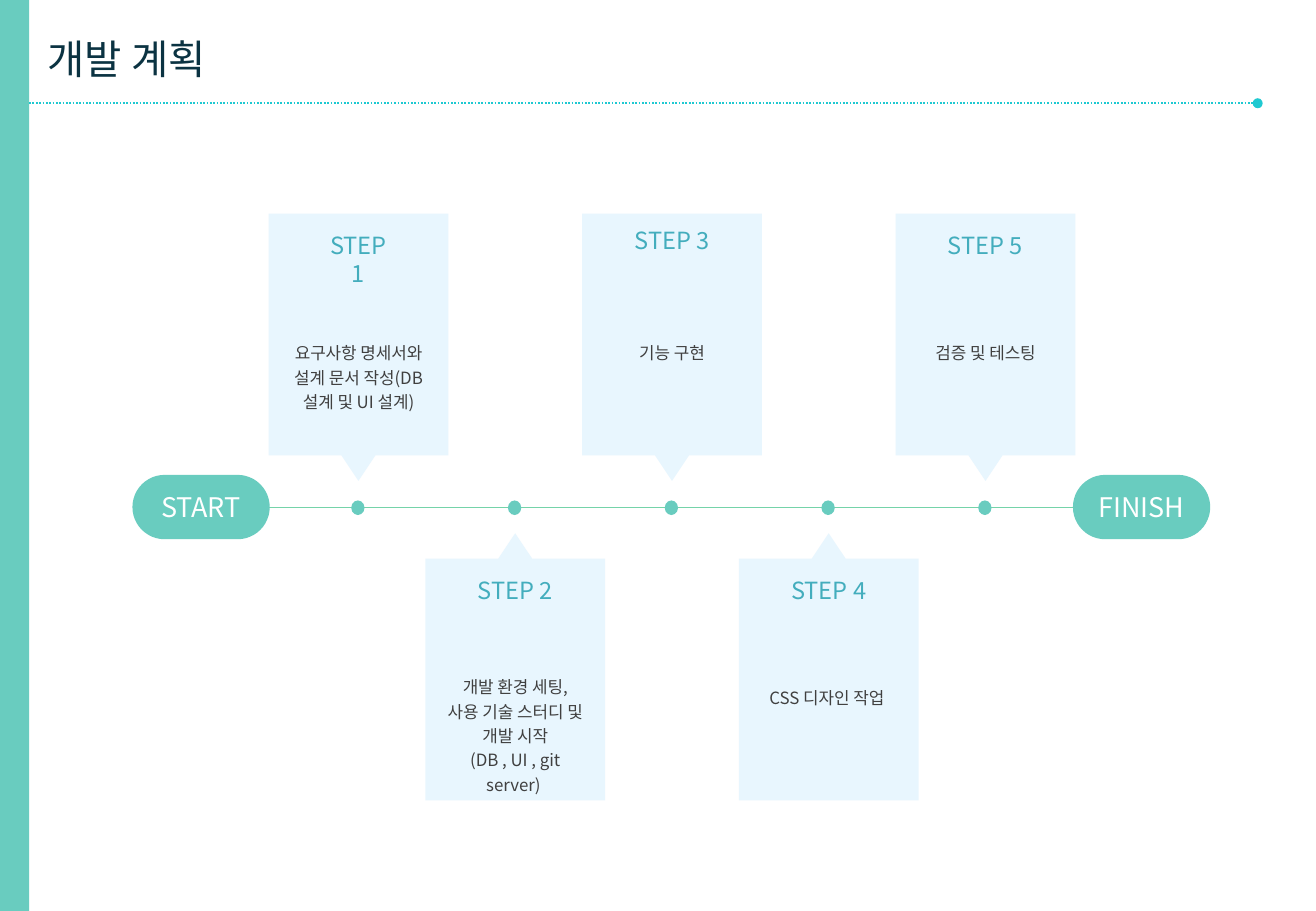
from dataclasses import dataclass

from lxml.etree import SubElement
from pptx import Presentation
from pptx.dml.color import RGBColor
from pptx.enum.dml import MSO_LINE
from pptx.enum.shapes import MSO_CONNECTOR, MSO_SHAPE
from pptx.enum.text import MSO_ANCHOR, PP_ALIGN
from pptx.oxml.ns import qn
from pptx.shapes.autoshape import Shape
from pptx.shapes.connector import Connector
from pptx.slide import Slide
from pptx.text.text import TextFrame
from pptx.util import Inches, Pt

FONT = "Noto Sans CJK KR"
MINT = RGBColor(0x69, 0xCC, 0xBF)
CYAN = RGBColor(0x1F, 0xC9, 0xD1)
GREEN = RGBColor(0x75, 0xD3, 0xA9)
PALE = RGBColor(0xE8, 0xF6, 0xFE)
TEAL = RGBColor(0x43, 0xAD, 0xBD)
NAVY = RGBColor(0x0B, 0x33, 0x42)
GRAY = RGBColor(0x40, 0x40, 0x40)
WHITE = RGBColor(0xFF, 0xFF, 0xFF)

AXIS_Y = 4.18
FIRST_X = 2.95
PITCH = 1.29
CARD_W = 1.48
CARD_H = 1.99
UPPER_TOP = 1.76
LOWER_TOP = 4.6
POINTER_H = 0.21
POINTER_HALF = 0.14
BODY_W = 1.12


@dataclass
class Step:
    title: str
    body: str
    title_y: float
    body_y: float
    body_h: float
    title_w: float = 0.65
    above: bool = True


@dataclass
class Pill:
    text: str
    x: float


STEPS = [
    Step("STEP 1", "요구사항 명세서와 설계 문서 작성(DB 설계 및 UI 설계)", 1.9, 2.79, 0.81, title_w=0.6),
    Step("STEP 2", "개발 환경 세팅, 사용 기술 스터디 및 개발 시작\v(DB , UI , git server) ",
         4.74, 5.54, 1.01, above=False),
    Step("STEP 3", "기능 구현", 1.86, 2.79, 0.2),
    Step("STEP 4", "CSS 디자인 작업 ", 4.74, 5.63, 0.2, above=False),
    Step("STEP 5", "검증 및 테스팅", 1.9, 2.79, 0.2),
]
PILLS = [Pill("START", 1.09), Pill("FINISH", 8.83)]


def paint(s: Shape, color: RGBColor) -> None:
    s.shadow.inherit = False
    s.fill.solid()
    s.fill.fore_color.rgb = color
    s.line.fill.background()


def write(tf: TextFrame, text: str, size: float, color: RGBColor,
          align: PP_ALIGN = PP_ALIGN.CENTER, spacing: float = 1.0) -> None:
    tf.text = text
    p = tf.paragraphs[0]
    p.alignment = align
    p.line_spacing = spacing
    for r in p.runs:
        r.font.size = Pt(size)
        r.font.name = FONT
        r.font.color.rgb = color
        SubElement(r.font._element, qn("a:ea")).set("typeface", FONT)


def add_block(slide: Slide, kind: MSO_SHAPE, x: float, y: float,
              w: float, h: float) -> Shape:
    s = slide.shapes.add_shape(kind, Inches(x), Inches(y), Inches(w), Inches(h))
    paint(s, MINT)
    return s


def add_line(slide: Slide, x1: float, x2: float, y: float,
             color: RGBColor, width: float) -> Connector:
    s = slide.shapes.add_connector(
        MSO_CONNECTOR.STRAIGHT, Inches(x1), Inches(y), Inches(x2), Inches(y))
    s.line.color.rgb = color
    s.line.width = Pt(width)
    SubElement(s._element.spPr, qn("a:effectLst"))
    return s


def add_label(slide: Slide, text: str, center: float, y: float, w: float,
              h: float, size: float, color: RGBColor, spacing: float = 1.0) -> None:
    s = slide.shapes.add_textbox(Inches(center - w / 2), Inches(y), Inches(w), Inches(h))
    tf = s.text_frame
    tf.margin_left = tf.margin_right = tf.margin_top = tf.margin_bottom = 0
    tf.word_wrap = True
    write(tf, text, size, color, spacing=spacing)


def add_card(slide: Slide, center: float, above: bool) -> None:
    top = UPPER_TOP if above else LOWER_TOP
    near, far = (top + CARD_H, top) if above else (top, top + CARD_H)
    tip = near + POINTER_H if above else near - POINTER_H
    left, right = center - CARD_W / 2, center + CARD_W / 2
    outline = [(left, far), (left, near), (center - POINTER_HALF, near),
               (center, tip), (center + POINTER_HALF, near), (right, near)]
    builder = slide.shapes.build_freeform(Inches(right), Inches(far))
    builder.add_line_segments([(Inches(x), Inches(y)) for x, y in outline], close=True)
    paint(builder.convert_to_shape(), PALE)


def add_step(slide: Slide, step: Step, center: float) -> None:
    add_card(slide, center, step.above)
    add_block(slide, MSO_SHAPE.OVAL, center - 0.06, AXIS_Y - 0.06, 0.11, 0.12)
    add_label(slide, step.title, center, step.title_y, step.title_w, 0.24, 14, TEAL)
    add_label(slide, step.body, center, step.body_y, BODY_W, step.body_h, 10, GRAY, 1.2)


def add_pill(slide: Slide, pill: Pill) -> None:
    s = add_block(slide, MSO_SHAPE.ROUNDED_RECTANGLE, pill.x, AXIS_Y - 0.27, 1.13, 0.53)
    s.adjustments[0] = 0.5
    s.text_frame.vertical_anchor = MSO_ANCHOR.MIDDLE
    write(s.text_frame, pill.text, 16, WHITE)


def add_title(slide: Slide, text: str) -> None:
    s = slide.shapes.title
    s.left, s.top, s.width, s.height = Inches(0.29), Inches(0.23), Inches(1.66), Inches(0.5)
    s.text_frame.word_wrap = False
    s.text_frame.vertical_anchor = MSO_ANCHOR.MIDDLE
    write(s.text_frame, text, 24, NAVY, PP_ALIGN.LEFT)


def main() -> None:
    prs = Presentation()
    prs.slide_width, prs.slide_height = Inches(10.83), Inches(7.5)
    slide = prs.slides.add_slide(prs.slide_layouts[5])
    add_title(slide, "개발 계획")
    add_block(slide, MSO_SHAPE.RECTANGLE, 0, 0, 0.24, 7.5)
    rule = add_line(slide, 0.24, 10.35, 0.85, CYAN, 1)
    rule.line.dash_style = MSO_LINE.ROUND_DOT
    SubElement(rule.line._get_or_add_ln(), qn("a:tailEnd")).set("type", "oval")
    add_line(slide, 1.66, 9.39, AXIS_Y, GREEN, 0.75)
    for i, step in enumerate(STEPS):
        add_step(slide, step, FIRST_X + i * PITCH)
    for pill in PILLS:
        add_pill(slide, pill)
    prs.save("out.pptx")


if __name__ == "__main__":
    main()
